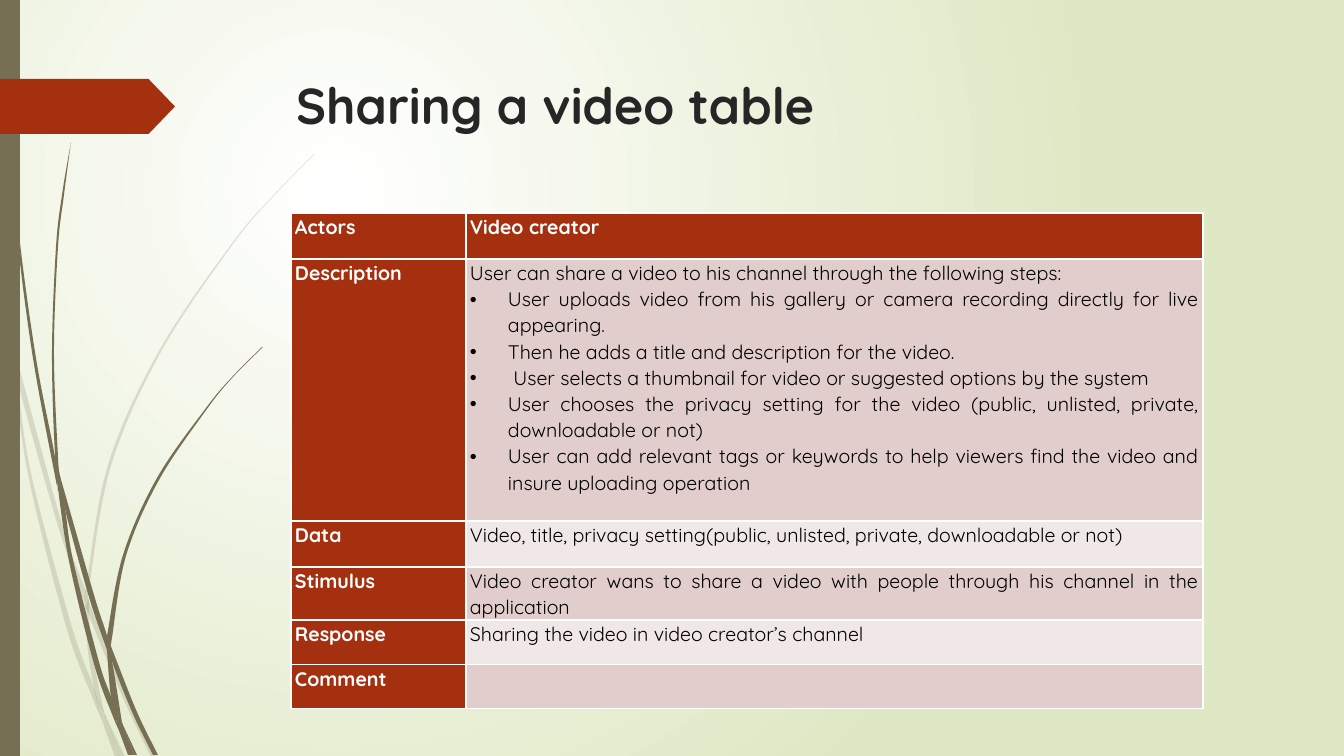
from lxml import etree
from pptx import Presentation
from pptx import util as u
from pptx.dml.color import RGBColor
from pptx.enum import shapes, text
from pptx.oxml import ns

PX = 12192000 / 1344  # EMU per px
FONT = "Quicksand"
RED = RGBColor(0xA5, 0x30, 0x10)
OLIVE = RGBColor(0x76, 0x6F, 0x54)
PALE_GREEN = RGBColor(0xDF, 0xE8, 0xC4)
WHITE = RGBColor(0xFF, 0xFF, 0xFF)
BLACK = RGBColor(0x00, 0x00, 0x00)
CHARCOAL = RGBColor(0x26, 0x26, 0x26)
BANDS = (RGBColor(0xF0, 0xE8, 0xE7), RGBColor(0xE1, 0xCD, 0xCC))

# Grass sections: the two edges of each, from tip to root, in px
FAINT_GRASS = [
    ([(0, 284), (9, 325), (11, 353)], [(0, 301), (10, 347), (11, 353)]),
    ([(14, 348), (62, 524), (86, 591)], [(14, 348), (17, 379), (58, 526), (85, 604)]),
    ([(89, 601), (93, 612), (128, 698), (156, 757)],
     [(89, 601), (89, 615), (124, 700), (151, 757)]),
    ([(106, 717), (125, 757)], [(106, 717), (120, 757)]),
    ([(11, 353), (17, 379), (31, 473), (71, 624), (94, 688), (100, 713), (102, 720)],
     [(11, 353), (28, 474), (66, 626), (93, 699), (102, 720)]),
    ([(85, 604), (89, 615), (92, 651), (104, 712), (106, 717)],
     [(85, 604), (88, 651), (94, 688), (97, 698), (106, 717)]),
    ([(314, 154), (270, 199), (230, 246), (159, 351), (108, 465), (86, 589), (86, 591)],
     [(314, 155), (270, 200), (231, 247), (161, 352), (111, 466), (89, 589), (89, 601)]),
    ([(102, 720), (120, 757)], [(102, 720), (115, 757)]),
    ([(86, 591), (89, 601), (89, 615)], [(86, 591), (85, 604), (89, 613)]),
    ([(94, 688), (97, 698), (106, 717), (120, 757)],
     [(94, 688), (100, 713), (102, 720), (120, 757)]),
]
DARK_GRASS = [
    ([(4, 0), (5, 48), (8, 110), (19, 234), (36, 358), (55, 457), (57, 485)],
     [(3, 0), (4, 48), (7, 111), (17, 235), (33, 358), (56, 481), (57, 485)]),
    ([(60, 476), (94, 595), (107, 636), (107, 650)],
     [(60, 476), (65, 509), (89, 597), (107, 650)]),
    ([(111, 646), (114, 654), (137, 712), (158, 755)],
     [(111, 646), (112, 661), (133, 714), (153, 755)]),
    ([(57, 481), (65, 509), (73, 560), (99, 662), (111, 697), (117, 723), (118, 728)],
     [(57, 481), (69, 561), (94, 664), (112, 714), (118, 728)]),
    ([(71, 142), (64, 195), (58, 247), (54, 352), (58, 457), (60, 476)],
     [(71, 142), (62, 195), (56, 247), (52, 352), (55, 453), (60, 476)]),
    ([(123, 725), (137, 755)], [(123, 725), (134, 755)]),
    ([(55, 453), (60, 476), (65, 509)], [(55, 453), (57, 481), (65, 509)]),
    ([(262, 347), (233, 376), (206, 408), (157, 478), (123, 555), (107, 636)],
     [(263, 347), (233, 377), (207, 409), (159, 480), (126, 556), (112, 638), (111, 646)]),
    ([(118, 728), (132, 755)], [(118, 728), (128, 755)]),
    ([(107, 650), (112, 661), (122, 722), (123, 725)],
     [(107, 650), (111, 697), (117, 712), (123, 725)]),
    ([(107, 636), (111, 646), (112, 661)], [(107, 636), (107, 650), (112, 661)]),
    ([(111, 697), (117, 712), (123, 725), (134, 755)],
     [(111, 697), (117, 723), (118, 728), (131, 755)]),
]

ROWS = [
    ("Actors", ["Video creator"], 46),
    ("Description", [
        "User can share a video to his channel through the following steps:",
        "User uploads video from his gallery or camera recording directly for live appearing.",
        "Then he adds a title and description for the video.",
        " User selects a thumbnail for video or suggested options by the system",
        "User chooses the privacy setting for the video (public, unlisted, private, "
        "downloadable or not)",
        "User can add relevant tags or keywords to help viewers find the video and "
        "insure uploading operation"], 262),
    ("Data", ["Video, title, privacy setting(public, unlisted, private, "
              "downloadable or not)"], 46),
    ("Stimulus", ["Video creator wans to share a video with people through his "
                  "channel in the application"], 53),
    ("Response", ["Sharing the video in video creator’s channel"], 45),
    ("Comment", [], 44),
]


def px(n):
    return u.Emu(round(n * PX))


def bezier_points(edge):
    """Two control points and an end point for each span of a smooth edge."""
    ends = [edge[0], *edge, edge[-1]]
    points = []
    for a, b, c, d in zip(ends, ends[1:], ends[2:], ends[3:]):
        points += [[q + (r - p) / 6 for p, q, r in zip(a, b, c)],
                   [r - (s - q) / 6 for q, r, s in zip(b, c, d)], c]
    return points


class SlideBuilder:
    def __init__(self, slide, font):
        self.slide, self.font = slide, font

    def background(self, inner, outer):
        fill = self.slide.background.fill
        fill.gradient()
        for stop, color in zip(fill.gradient_stops, (inner, outer)):
            stop.color.rgb = color
        grad = self.slide.element.find(".//" + ns.qn("a:gradFill"))
        grad.remove(grad.find(ns.qn("a:lin")))
        circle = etree.SubElement(grad, ns.qn("a:path"), path="circle")
        etree.SubElement(circle, ns.qn("a:fillToRect"),
                         l="50000", t="50000", r="100000", b="100000")

    def paint(self, sp, color, alpha=100):
        sp.shadow.inherit = False
        sp.fill.solid()
        sp.fill.fore_color.rgb = color
        sp.line.fill.background()
        if alpha < 100:
            clr = sp.element.spPr.find(".//" + ns.qn("a:srgbClr"))
            etree.SubElement(clr, ns.qn("a:alpha"), val=str(alpha * 1000))

    def shape(self, kind, x, y, w, h, color):
        sp = self.slide.shapes.add_shape(kind, px(x), px(y), px(w), px(h))
        self.paint(sp, color)
        return sp

    def grass(self, sections, color, alpha=100):
        group = self.slide.shapes.add_group_shape()
        for near, far in sections:
            back = far[::-1]
            points = (bezier_points(near) + [near[-1], back[0], back[0]]
                      + bezier_points(back))
            builder = group.shapes.build_freeform(px(near[0][0]), px(near[0][1]))
            builder.add_line_segments([(px(x), px(y)) for x, y in points], close=True)
            sp = builder.convert_to_shape()
            # Turn every three straight segments into one cubic curve
            segments = list(sp.element.iter(ns.qn("a:lnTo")))
            for i in range(0, len(segments), 3):
                curve = etree.Element(ns.qn("a:cubicBezTo"))
                segments[i].addprevious(curve)
                for segment in segments[i:i + 3]:
                    curve.append(segment[0])
                    segment.getparent().remove(segment)
            self.paint(sp, color, alpha)

    def format_runs(self, p, size, color, bold):
        for r in p.runs:
            r.font.name, r.font.size = self.font, u.Pt(size)
            r.font.bold, r.font.color.rgb = bold, color

    def title(self, words, x, y, w, h):
        sp = self.slide.shapes.title
        sp.left, sp.top, sp.width, sp.height = px(x), px(y), px(w), px(h)
        tf = sp.text_frame
        tf.text = words
        tf.auto_size = text.MSO_AUTO_SIZE.NONE
        tf.vertical_anchor = text.MSO_ANCHOR.TOP
        tf.paragraphs[0].alignment = text.PP_ALIGN.LEFT
        self.format_runs(tf.paragraphs[0], 36, CHARCOAL, True)

    def bullet(self, p):
        p_pr = p._p.get_or_add_pPr()
        p_pr.set("marL", str(px(38)))
        p_pr.set("indent", str(-px(38)))
        etree.SubElement(p_pr, ns.qn("a:buFont"), typeface="Arial")
        etree.SubElement(p_pr, ns.qn("a:buChar"), char="•")

    def cell(self, cell, lines, fill, color, bold):
        cell.margin_left = cell.margin_right = px(4)
        cell.margin_top = cell.margin_bottom = 0
        cell.fill.solid()
        cell.fill.fore_color.rgb = fill
        tf = cell.text_frame
        tf.text = "\n".join(lines)
        for i, p in enumerate(tf.paragraphs):
            p.alignment = text.PP_ALIGN.JUSTIFY
            p.line_spacing = 1.07
            self.format_runs(p, 14, color, bold)
            if i:
                self.bullet(p)

    def table(self, rows, x, y, widths):
        heights = [row[2] for row in rows]
        table = self.slide.shapes.add_table(len(rows), len(widths), px(x), px(y),
                                            px(sum(widths)), px(sum(heights))).table
        table.first_col = True
        for column, width in zip(table.columns, widths):
            column.width = px(width)
        for i, (label, lines, height) in enumerate(rows):
            table.rows[i].height = px(height)
            for j, content in enumerate(([label], lines)):
                head = i == 0 or j == 0
                self.cell(table.cell(i, j), content, RED if head else BANDS[i % 2],
                          WHITE if head else BLACK, head)


def main():
    prs = Presentation()
    prs.slide_width, prs.slide_height = px(1344), px(756)
    page = SlideBuilder(prs.slides.add_slide(prs.slide_layouts[5]), FONT)

    # Backdrop and grass
    page.background(WHITE, PALE_GREEN)
    page.grass(FAINT_GRASS, OLIVE, alpha=20)
    page.grass(DARK_GRASS, OLIVE)

    # Side bar and arrow tag
    page.shape(shapes.MSO_SHAPE.RECTANGLE, 0, 0, 20, 756, OLIVE)
    tag = page.shape(shapes.MSO_SHAPE.PENTAGON, 0, 79, 175, 55, RED)
    tag.adjustments[0] = 0.48

    # Title and use-case table
    page.title("Sharing a video table", 286, 69, 983, 141)
    page.table(ROWS, 291, 213, (175, 737))
    prs.save("out.pptx")


if __name__ == "__main__":
    main()
